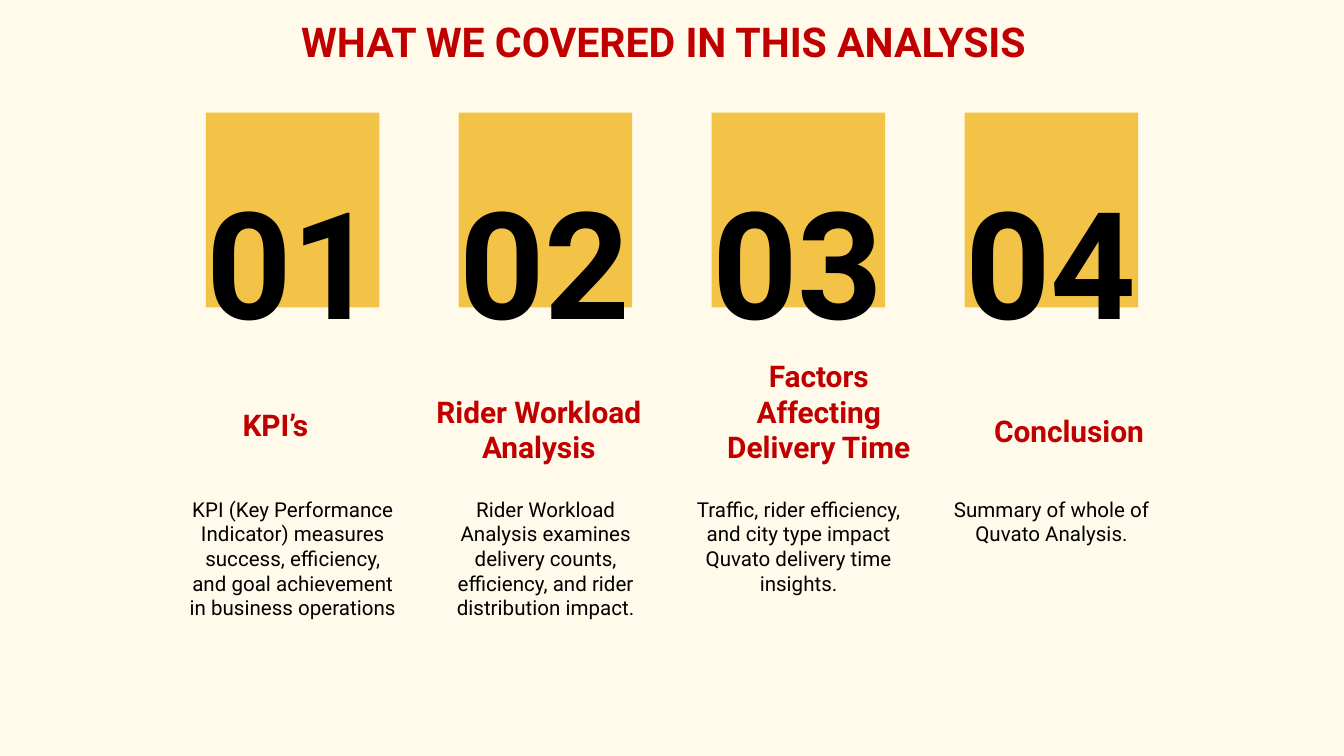
from dataclasses import dataclass

from pptx import Presentation
from pptx.dml.color import RGBColor
from pptx.enum.shapes import MSO_SHAPE
from pptx.enum.text import MSO_ANCHOR, PP_ALIGN
from pptx.util import Cm, Pt

CREAM = RGBColor(0xFF, 0xFA, 0xEA)
YELLOW = RGBColor(0xF3, 0xC3, 0x47)
RED = RGBColor(0xC0, 0x00, 0x00)
BLACK = RGBColor(0x00, 0x00, 0x00)
FONT = "Roboto"
RECTANGLE = MSO_SHAPE.RECTANGLE
CENTER = PP_ALIGN.CENTER
TOP, BOTTOM = MSO_ANCHOR.TOP, MSO_ANCHOR.BOTTOM

INSET = 0.25
CARD_LEFT, CARD_TOP = 3.89, 2.13
CARD_WIDTH, CARD_HEIGHT = 3.28, 3.68
CARD_PITCH = 4.78
TEXT_WIDTH = 4.45


@dataclass
class Topic:
    heading: str
    summary: str
    heading_shift: float  # heading box relative to the card's left edge, cm
    heading_drop: float = 0
    heading_lift: float = 0  # extra room below the heading, cm


TOPICS = [
    Topic("KPI’s",
          "KPI (Key Performance Indicator) measures success, efficiency, "
          "and goal achievement in business operations",
          -0.91, heading_lift=0.66),
    Topic("Rider Workload Analysis",
          "Rider Workload Analysis examines delivery counts, efficiency, "
          "and rider distribution impact.",
          -0.71),
    Topic("Factors Affecting Delivery Time",
          "Traffic, rider efficiency, and city type impact "
          "Quvato delivery time insights.",
          -0.2),
    Topic("Conclusion", "Summary of whole of Quvato Analysis.",
          -0.25, heading_drop=0.1, heading_lift=0.66),
]


def add_text(page, box, text, size, color, bold=False, anchor=TOP, lift=0):
    """Add centred text in box (left, top, width, height in cm)."""
    frame = page.shapes.add_textbox(*map(Cm, box)).text_frame
    frame.word_wrap = True
    frame.vertical_anchor = anchor
    frame.margin_left = frame.margin_right = frame.margin_top = Cm(INSET)
    frame.margin_bottom = Cm(INSET + lift)
    para = frame.paragraphs[0]
    para.text = text
    para.alignment = CENTER
    font = para.runs[0].font
    font.name, font.size, font.bold = FONT, Pt(size), bold
    font.color.rgb = color


def add_card(page, left, top, number, topic):
    card = page.shapes.add_shape(
        RECTANGLE, Cm(left), Cm(top), Cm(CARD_WIDTH), Cm(CARD_HEIGHT))
    card.shadow.inherit = False
    card.fill.solid()
    card.fill.fore_color.rgb = YELLOW
    card.line.fill.background()

    add_text(page, (left - 1.24, top + 0.82, 5.74, 3.91),
             f"{number:02d}", 80, BLACK, bold=True, anchor=BOTTOM)
    add_text(page, (left + topic.heading_shift, top + 4.42 + topic.heading_drop,
                    TEXT_WIDTH, 2.49),
             topic.heading, 16, RED, bold=True, anchor=BOTTOM,
             lift=topic.heading_lift)
    add_text(page, (left - 0.58, top + 7.01, TEXT_WIDTH, 3.43),
             topic.summary, 11, BLACK)


def build_overview(page):
    page.background.fill.solid()
    page.background.fill.fore_color.rgb = CREAM
    add_text(page, (3.28, 0.06, 18.52, 1.8),
             "WHAT WE COVERED IN THIS ANALYSIS", 22, RED, bold=True)
    for index, topic in enumerate(TOPICS):
        add_card(page, CARD_LEFT + index * CARD_PITCH, CARD_TOP, index + 1, topic)


def main():
    deck = Presentation()
    deck.slide_width, deck.slide_height = Cm(25.4), Cm(14.29)
    build_overview(deck.slides.add_slide(deck.slide_layouts[6]))
    deck.save("out.pptx")


if __name__ == "__main__":
    main()
